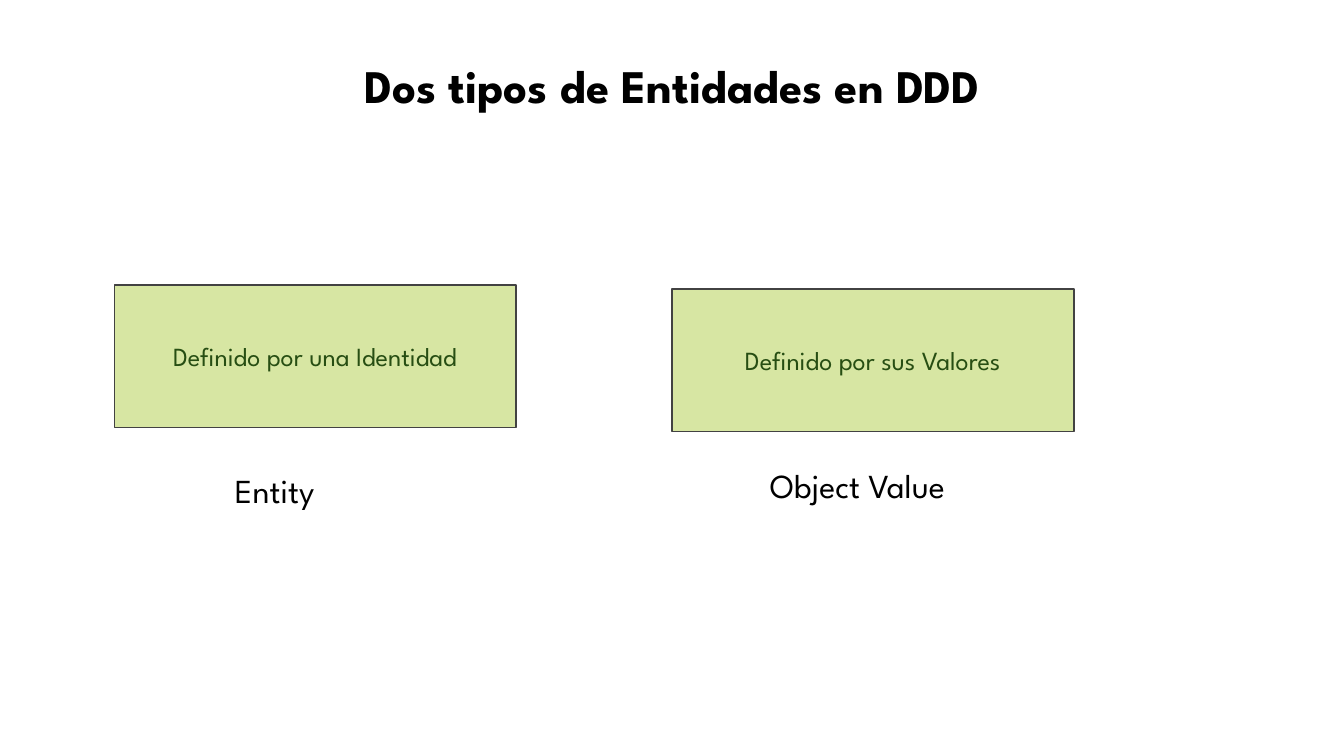
import pptx
import pptx.util
import pptx.dml.color
import pptx.enum.shapes
import pptx.enum.text

Inches = pptx.util.Inches
Pt = pptx.util.Pt
RGBColor = pptx.dml.color.RGBColor
PP_ALIGN = pptx.enum.text.PP_ALIGN
MSO_ANCHOR = pptx.enum.text.MSO_ANCHOR

BLACK = RGBColor(0x00, 0x00, 0x00)
LIME = RGBColor(0xD7, 0xE6, 0xA3)
GRAY = RGBColor(0x42, 0x42, 0x42)
GREEN = RGBColor(0x27, 0x4E, 0x13)

FRAME = {
    "word_wrap": True,
    "auto_size": pptx.enum.text.MSO_AUTO_SIZE.NONE,
    "margin_left": Inches(0.1),
    "margin_top": Inches(0.1),
    "margin_right": Inches(0.1),
    "margin_bottom": Inches(0.1),
}


def write(sp, text, size, color, align, anchor, bold=False):
    tf = sp.text_frame
    for name, value in {**FRAME, "vertical_anchor": anchor}.items():
        setattr(tf, name, value)
    p = tf.paragraphs[0]
    p.alignment = align
    p.space_before = Pt(0)
    p.line_spacing = 1.0
    r = p.add_run()
    r.text = text
    font = {"name": "League Spartan", "size": Pt(size), "bold": bold}
    for name, value in font.items():
        setattr(r.font, name, value)
    r.font.color.rgb = color


prs = pptx.Presentation()
prs.slide_width = Inches(10)
prs.slide_height = Inches(10) * 9 // 16
s = prs.slides.add_slide(prs.slide_layouts[5])

title = s.shapes.title
place = {"left": 0, "top": 0.32, "width": 10, "height": 0.6}
for name, value in place.items():
    setattr(title, name, Inches(value))
write(title, "Dos tipos de Entidades en DDD", 25, BLACK,
      PP_ALIGN.CENTER, MSO_ANCHOR.TOP, bold=True)

definitions = [
    (0.85, 2.12, "Definido por una Identidad"),
    (5, 2.15, "Definido por sus Valores"),
]
for left, top, text in definitions:
    sp = s.shapes.add_shape(
        pptx.enum.shapes.MSO_SHAPE.RECTANGLE,
        Inches(left), Inches(top), Inches(2.99), Inches(1.06))
    sp.shadow.inherit = False
    sp.fill.solid()
    sp.fill.fore_color.rgb = LIME
    sp.line.color.rgb = GRAY
    sp.line.width = Pt(0.75)
    write(sp, text, 14, GREEN, PP_ALIGN.CENTER, MSO_ANCHOR.MIDDLE)

labels = [
    (1.65, 3.4, 1.29, "Entity"),
    (5.63, 3.36, 1.73, "Object Value"),
]
for left, top, width, text in labels:
    sp = s.shapes.add_textbox(
        Inches(left), Inches(top), Inches(width), Inches(0.6))
    write(sp, text, 18, BLACK, PP_ALIGN.LEFT, MSO_ANCHOR.TOP)

prs.save("out.pptx")
